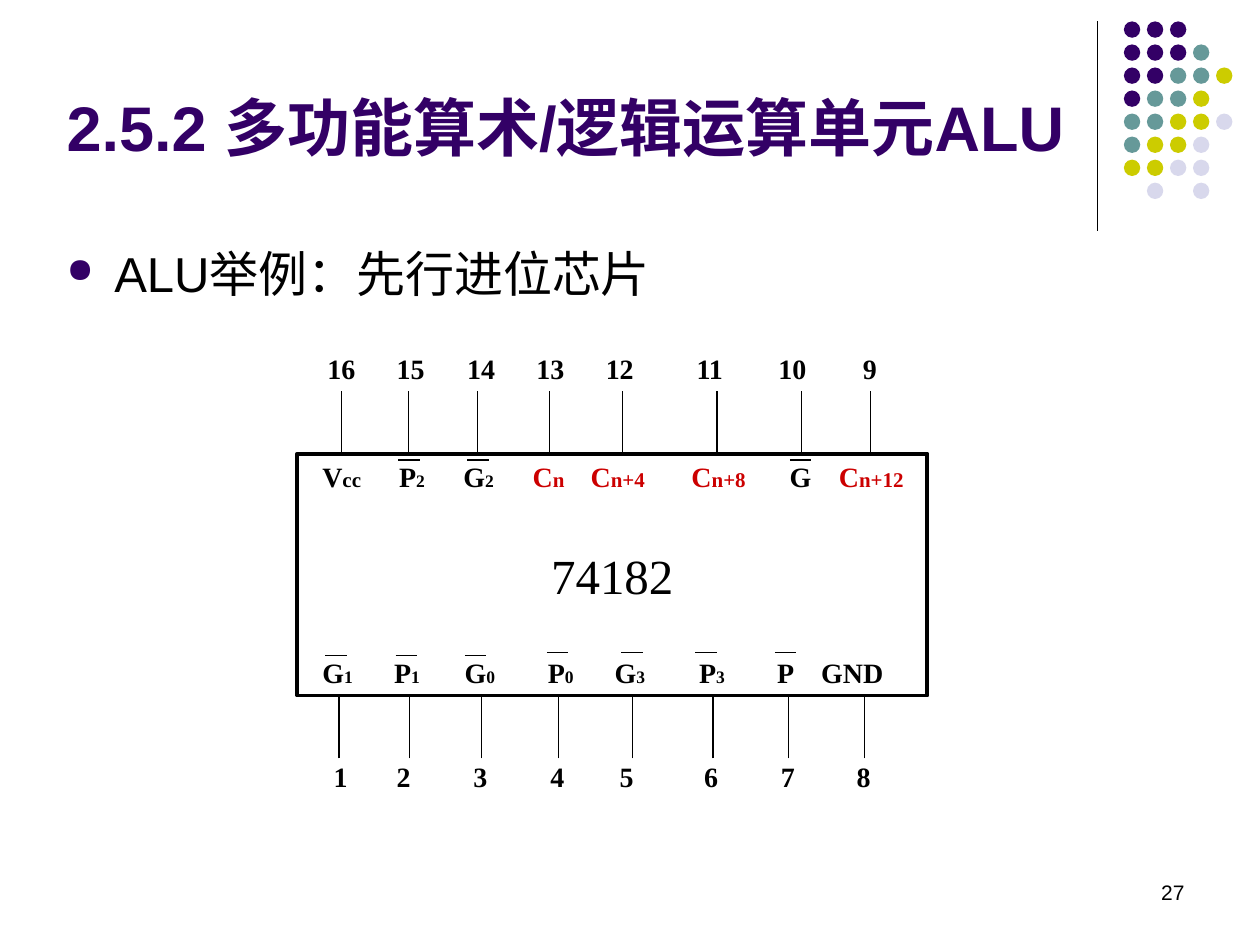
from lxml.etree import SubElement
from pptx import Presentation
from pptx.dml.color import RGBColor
from pptx.enum.shapes import MSO_CONNECTOR, MSO_SHAPE
from pptx.enum.text import MSO_ANCHOR, PP_ALIGN
from pptx.oxml.ns import qn
from pptx.util import Inches, Pt

BLACK = RGBColor(0x00, 0x00, 0x00)
PURPLE = RGBColor(0x33, 0x00, 0x66)
TEAL = RGBColor(0x66, 0x99, 0x99)
YELLOW = RGBColor(0xCC, 0xCC, 0x00)
LAVENDER = RGBColor(0xD8, 0xD8, 0xEC)
RED = RGBColor(0xCC, 0x00, 0x00)

deck = Presentation()
deck.slide_width, deck.slide_height = Inches(10), Inches(7.5)
page = deck.slides.add_slide(deck.slide_layouts[6])


def draw_line(x1, y1, x2, y2):
    line = page.shapes.add_connector(
        MSO_CONNECTOR.STRAIGHT, Inches(x1), Inches(y1), Inches(x2), Inches(y2))
    line.line.color.rgb = BLACK
    line.line.width = Pt(0.75)
    SubElement(line._element.spPr, qn("a:effectLst"))


def write_runs(frame, runs, name, bold=False, anchor=MSO_ANCHOR.TOP,
               align=PP_ALIGN.LEFT):
    """Fill the first paragraph with (text, size, colour) runs."""
    frame.word_wrap = True
    frame.vertical_anchor = anchor
    para = frame.paragraphs[0]
    para.alignment = align
    for text, size, colour in runs:
        span = para.add_run()
        span.text = text
        for key, value in {"name": name, "size": Pt(size), "bold": bold}.items():
            setattr(span.font, key, value)
        span.font.color.rgb = colour


# Corner ornament
draw_line(8.71, 0.17, 8.71, 1.83)
dot_colours = {"D": PURPLE, "T": TEAL, "Y": YELLOW, "L": LAVENDER}
dot_rows = ["DDD", "DDDT", "DDTTY", "DTTY", "TTYYL", "TYYL", "YYLL", " L L"]
dot_pitch = 1.28 / 7
for row, letters in enumerate(dot_rows):
    for column, letter in enumerate(letters):
        if letter == " ":
            continue
        dot = page.shapes.add_shape(
            MSO_SHAPE.OVAL, Inches(8.92 + column * dot_pitch),
            Inches(0.17 + row * dot_pitch), Inches(0.13), Inches(0.13))
        dot.shadow.inherit = False
        dot.fill.solid()
        dot.fill.fore_color.rgb = dot_colours[letter]
        dot.line.fill.background()

# Slide number, title and bullet
number = page.shapes.add_textbox(Inches(7.17), Inches(6.83), Inches(2.33), Inches(0.5))
write_runs(number.text_frame, [("27", 12, BLACK)], "Arial",
           anchor=MSO_ANCHOR.MIDDLE, align=PP_ALIGN.RIGHT)

title = page.shapes.add_textbox(Inches(0.43), Inches(0.29), Inches(8.25), Inches(1.42))
write_runs(title.text_frame, [("2.5.2 多功能算术/逻辑运算单元ALU", 36, PURPLE)],
           "Arial", bold=True, anchor=MSO_ANCHOR.MIDDLE)

body = page.shapes.add_textbox(Inches(0.43), Inches(1.88), Inches(9), Inches(4.82))
bullet = body.text_frame.paragraphs[0]._p.get_or_add_pPr()
bullet.set("marL", str(Inches(0.38)))
bullet.set("indent", str(-Inches(0.38)))
SubElement(SubElement(bullet, qn("a:buClr")), qn("a:srgbClr"), val=str(PURPLE))
SubElement(bullet, qn("a:buSzPct"), val="70000")
SubElement(bullet, qn("a:buChar"), char="●")
write_runs(body.text_frame, [("ALU举例：先行进位芯片", 28, BLACK)], "Arial")

# Chip
chip = page.shapes.add_shape(
    MSO_SHAPE.RECTANGLE, Inches(2.36), Inches(3.6), Inches(5), Inches(1.92))
chip.shadow.inherit = False
chip.fill.background()
chip.line.color.rgb = BLACK
chip.line.width = Pt(2.25)
write_runs(chip.text_frame, [("74182", 28, BLACK)], "Times New Roman",
           anchor=MSO_ANCHOR.MIDDLE, align=PP_ALIGN.CENTER)

# Each row: top, then (left edge, letter, subscript) for every pin
pin_rows = [
    (2.74, [(2.6, "16", ""), (3.15, "15", ""), (3.71, "14", ""), (4.26, "13", ""),
            (4.81, "12", ""), (5.53, "11", ""), (6.18, "10", ""), (6.85, "9", "")]),
    (3.6, [(2.56, "V", "cc"), (3.17, "P", "2"), (3.68, "G", "2"), (4.23, "C", "n"),
           (4.69, "C", "n+4"), (5.49, "C", "n+8"), (6.27, "G", ""), (6.66, "C", "n+12")]),
    (5.15, [(2.56, "G", "1"), (3.13, "P", "1"), (3.69, "G", "0"), (4.35, "P", "0"),
            (4.88, "G", "3"), (5.55, "P", "3"), (6.17, "P", ""), (6.52, "GND", "")]),
    (5.98, [(2.65, "1", ""), (3.15, "2", ""), (3.76, "3", ""), (4.37, "4", ""),
            (4.92, "5", ""), (5.59, "6", ""), (6.2, "7", ""), (6.8, "8", "")]),
]
row_left, inset = 2.41, 0.1
for top, pins in pin_rows:
    box = page.shapes.add_textbox(Inches(row_left), Inches(top), Inches(5), Inches(0.37))
    properties = box.text_frame.paragraphs[0]._p.get_or_add_pPr()
    tabs = SubElement(properties, qn("a:tabLst"))
    runs = []
    for left, letter, subscript in pins:
        stop = Inches(round(left - row_left - inset, 2))
        SubElement(tabs, qn("a:tab"), pos=str(stop), algn="l")
        colour = RED if letter == "C" else BLACK
        runs.append(("\t" + letter, 16, colour))
        if subscript:
            runs.append((subscript, 10 if subscript.isdigit() else 12, colour))
    write_runs(box.text_frame, runs, "Times New Roman", bold=True)

# Pin leads
lead_rows = [
    (3.1, [2.71, 3.24, 3.79, 4.36, 4.94, 5.69, 6.36, 6.91]),
    (5.52, [2.69, 3.25, 3.82, 4.43, 5.02, 5.66, 6.26, 6.86]),
]
for top, leads in lead_rows:
    for x in leads:
        draw_line(x, top + 0.5, x, top)

# Bars over active-low signals
bar_rows = [
    (3.65, [3.16, 3.71, 6.27]),
    (5.2, [2.58, 3.14, 3.69]),
    (5.18, [4.34, 4.93, 5.52, 6.15]),
]
for y, bars in bar_rows:
    for x in bars:
        draw_line(x, y, x + 0.17, y)

deck.save("out.pptx")
